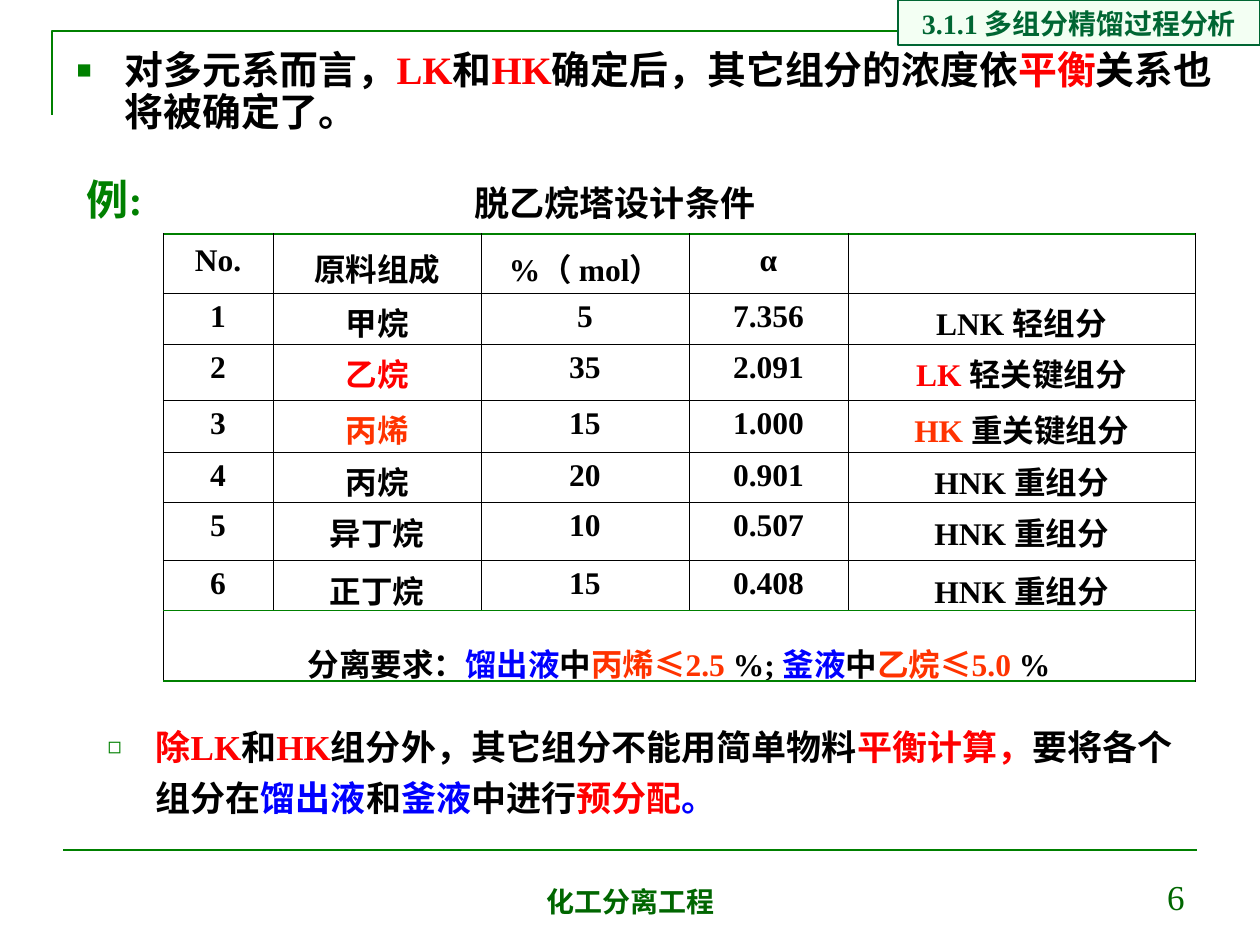
import pptx
import pptx.util
import pptx.dml.color
import pptx.enum.shapes
import pptx.enum.text
import pptx.oxml.ns
import lxml.etree

RGB = pptx.dml.color.RGBColor
ALIGN = pptx.enum.text.PP_ALIGN
ANCHOR = pptx.enum.text.MSO_ANCHOR
BLACK = RGB(0x00, 0x00, 0x00)
GREEN = RGB(0x00, 0x80, 0x00)
TEAL = RGB(0x00, 0x66, 0x33)
DARK = RGB(0x00, 0x66, 0x00)
MINT = RGB(0xF3, 0xFF, 0xF3)
RED = RGB(0xFF, 0x00, 0x00)
FLAME = RGB(0xFF, 0x33, 0x00)
BLUE = RGB(0x00, 0x00, 0xFF)
SCALE = 914400 / 126
SERIF = "Times New Roman"


def px(*nums):
    """Turn px lengths into EMU."""
    return [pptx.util.Emu(round(n * SCALE)) for n in nums]


def write(frame, parts, size=18, color=BLACK, bold=True, align=ALIGN.CENTER,
          line=1.0, anchor=ANCHOR.TOP):
    """Fill a frame with one paragraph; parts is text or (text, colour[, font]) items."""
    frame.word_wrap = True
    frame.vertical_anchor = anchor
    para = frame.paragraphs[0]
    para.alignment = align
    para.line_spacing = line
    para.space_before = pptx.util.Pt(0)
    for text, tint, *face in [(parts, color)] if isinstance(parts, str) else parts:
        run = para.add_run()
        run.text = text
        run.font.name = face[0] if face else SERIF
        run.font.size = pptx.util.Pt(size)
        run.font.bold = bold
        run.font.color.rgb = tint
    return para


deck = pptx.Presentation()
deck.slide_width, deck.slide_height = px(1260, 945)
slide = deck.slides.add_slide(deck.slide_layouts[3])
shapes = slide.shapes
title, lead, note = slide.placeholders

# Frame lines
build = shapes.build_freeform(52, 115, scale=SCALE)
build.add_line_segments([(52, 31), (1186, 31)], close=False)
frame = build.convert_to_shape()
frame.shadow.inherit = False
frame.fill.background()
rule = shapes.add_connector(pptx.enum.shapes.MSO_CONNECTOR.STRAIGHT,
                            *px(63, 850, 1197, 850))
lxml.etree.SubElement(rule._element.spPr, pptx.oxml.ns.qn("a:effectLst"))
for item in (frame, rule):
    item.line.color.rgb = GREEN
    item.line.width = pptx.util.Pt(1.5)

# Title and bullets
title.left, title.top, title.width, title.height = px(74, 165, 160, 67)
write(title.text_frame, "例:", size=24, color=GREEN, align=ALIGN.LEFT,
      anchor=ANCHOR.MIDDLE)

lead_parts = [
    ("对多元系而言，", BLACK), ("LK", RED), ("和", BLACK), ("HK", RED),
    ("确定后，其它组分的浓度依", BLACK), ("平衡", RED), ("关系也将被确定了。", BLACK)]
note_parts = [
    ("除LK", RED), ("和", BLACK), ("HK", RED),
    ("组分外，其它组分不能用简单物料", BLACK), ("平衡计算，", RED),
    ("要将各个组分在", BLACK), ("馏出液", BLUE), ("和", BLACK), ("釜液", BLUE),
    ("中进行", BLACK), ("预分配", RED), ("。", BLUE)]
for body, box, parts, size, line, mark in [
        (lead, (64, 45, 1163, 110), lead_parts, 22.2, 0.9, "■"),
        (note, (95, 711, 1119, 118), note_parts, 20, 1.2, "◻")]:
    body.left, body.top, body.width, body.height = px(*box)
    body.text_frame.auto_size = pptx.enum.text.MSO_AUTO_SIZE.NONE
    para = write(body.text_frame, parts, size=size, line=line, align=ALIGN.LEFT)
    props = para._p.get_or_add_pPr()
    dent = px(48)[0]
    props.set("marL", str(dent))
    props.set("indent", str(-dent))
    tint = lxml.etree.SubElement(props, pptx.oxml.ns.qn("a:buClr"))
    lxml.etree.SubElement(tint, pptx.oxml.ns.qn("a:srgbClr"), val=str(GREEN))
    lxml.etree.SubElement(props, pptx.oxml.ns.qn("a:buSzPct"), val="65000")
    lxml.etree.SubElement(props, pptx.oxml.ns.qn("a:buChar"), char=mark)

# Section tag
tag = shapes.add_shape(pptx.enum.shapes.MSO_SHAPE.RECTANGLE, *px(898, 0, 362, 45))
tag.shadow.inherit = False
tag.fill.solid()
tag.fill.fore_color.rgb = MINT
tag.line.color.rgb = TEAL
tag.line.width = pptx.util.Pt(0.75)
write(tag.text_frame, "3.1.1 多组分精馏过程分析", size=16, color=TEAL)

# Caption and footer
for box, text, style in [
        ((372, 175, 486, 55), "脱乙烷塔设计条件", dict(size=20, anchor=ANCHOR.MIDDLE)),
        ((431, 861, 399, 63), "化工分离工程",
         dict(size=16, color=DARK, anchor=ANCHOR.BOTTOM)),
        ((903, 861, 294, 63), "6", dict(size=20, color=DARK, bold=False,
                                        align=ALIGN.RIGHT, anchor=ANCHOR.BOTTOM))]:
    write(shapes.add_textbox(*px(*box)).text_frame, text, **style)

# Table
heads = ["No.", "原料组成", "%（ mol）", "α", ""]
feed = [
    ("甲烷", "5", "7.356", "LNK ", "轻组分", BLACK),
    ("乙烷", "35", "2.091", "LK ", "轻关键组分", RED),
    ("丙烯", "15", "1.000", "HK ", "重关键组分", FLAME),
    ("丙烷", "20", "0.901", "HNK ", "重组分", BLACK),
    ("异丁烷", "10", "0.507", "HNK ", "重组分", BLACK),
    ("正丁烷", "15", "0.408", "HNK ", "重组分", BLACK)]
goal = [
    ("分离要求：", BLACK), ("馏出液", BLUE), ("中", BLACK), ("丙烯≤2.5", FLAME),
    (" %; ", BLACK), ("釜液", BLUE), ("中", BLACK), ("乙烷≤5.0", FLAME), (" %", BLACK)]
rows = [heads]
for num, (name, share, alpha, code, role, tint) in enumerate(feed, 1):
    rows.append([str(num), [(name, tint)], share, alpha,
                 [(code, tint), (role, BLACK, "Arial")]])
rows.append([goal])

wide = [110, 208, 208, 159, 347]
high = [59, 51, 56, 52, 50, 58, 50, 70]
last = len(high) - 1
grid = shapes.add_table(len(high), len(wide),
                        *px(163, 234, sum(wide), sum(high))).table
grid.first_row = grid.horz_banding = False
for col, span in zip(grid.columns, px(*wide)):
    col.width = span
for row, span in zip(grid.rows, px(*high)):
    row.height = span
grid.cell(last, 0).merge(grid.cell(last, len(wide) - 1))

for r, row in enumerate(rows):
    for c, parts in enumerate(row):
        if parts:
            write(grid.cell(r, c).text_frame, parts,
                  line={0: 1.1, last: 1.5}.get(r, 1.0))
    for cell in grid.rows[r].cells:
        props = cell._tc.get_or_add_tcPr()
        top = (GREEN, 0.96) if r == 0 else (GREEN, 0.45) if r == last else (BLACK, 0.34)
        base = (GREEN, 0.96) if r == last else (GREEN, 0.45) if r == last - 1 else (BLACK, 0.34)
        for side, (tint, thick) in [("L", (BLACK, 0.34)), ("R", (BLACK, 0.34)),
                                    ("T", top), ("B", base)]:
            edge = lxml.etree.SubElement(props, pptx.oxml.ns.qn("a:ln" + side),
                                         w=str(pptx.util.Pt(thick)))
            fill = lxml.etree.SubElement(edge, pptx.oxml.ns.qn("a:solidFill"))
            lxml.etree.SubElement(fill, pptx.oxml.ns.qn("a:srgbClr"), val=str(tint))
        cell.fill.background()

deck.save("out.pptx")
